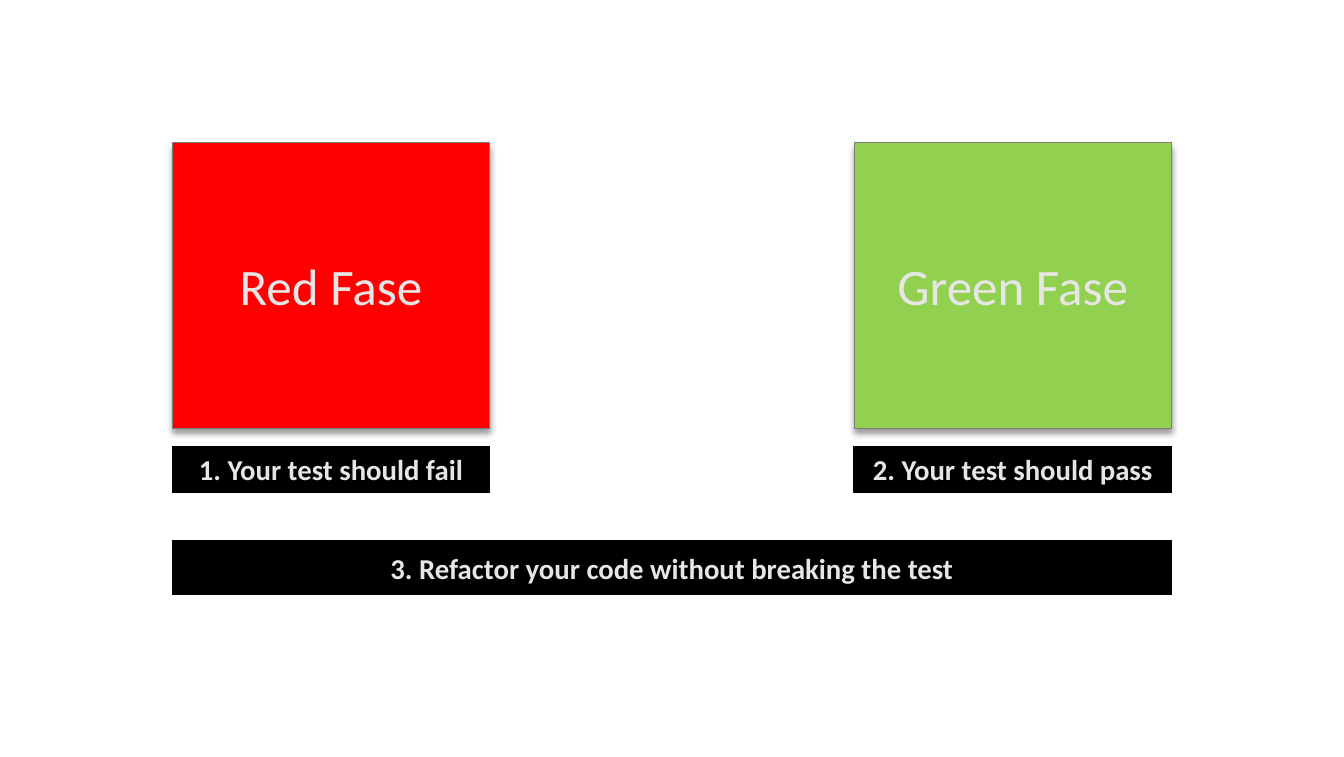
import pptx
import pptx.dml.color
import pptx.enum.shapes
import pptx.enum.text
import pptx.oxml
import pptx.oxml.ns
import pptx.util

WIDTH, HEIGHT = 11.69, 6.58
LEFT, RIGHT = 1.5, 10.19
PHASE_WIDTH = 2.76
PHASES = [
    ("Red Fase", "FF0000", "1. Your test should fail"),
    ("Green Fase", "92D050", "2. Your test should pass"),
]


def color(value):
    return pptx.dml.color.RGBColor.from_string(value)


def add_shadow(shape):
    """Cast a soft, 40 % black shadow straight down."""
    namespace = pptx.oxml.ns.nsdecls("a")
    shadow = pptx.oxml.parse_xml(
        f'<a:outerShdw {namespace} blurRad="{pptx.util.Pt(4)}" '
        f'dist="{pptx.util.Pt(3)}" dir="5400000" rotWithShape="0">'
        '<a:srgbClr val="000000"><a:alpha val="40000"/></a:srgbClr></a:outerShdw>'
    )
    effects = shape._element.spPr.find(pptx.oxml.ns.qn("a:effectLst"))
    effects.append(shadow)


def write(shape, text, size, bold=False, grow=False):
    frame = shape.text_frame
    frame.word_wrap = True
    frame.vertical_anchor = pptx.enum.text.MSO_ANCHOR.MIDDLE
    if grow:
        frame.vertical_anchor = pptx.enum.text.MSO_ANCHOR.TOP
        frame.auto_size = pptx.enum.text.MSO_AUTO_SIZE.SHAPE_TO_FIT_TEXT
    para = frame.paragraphs[0]
    para.alignment = pptx.enum.text.PP_ALIGN.CENTER
    span = para.add_run()
    span.text = text
    span.font.name = "Calibri"
    span.font.size = pptx.util.Pt(size)
    span.font.bold = bold
    span.font.color.rgb = color("E7E6E6")


def add_box(page, left, top, width, height, fill="000000", line="000000", weight=0.5):
    box = page.shapes.add_shape(
        pptx.enum.shapes.MSO_SHAPE.RECTANGLE,
        *map(pptx.util.Inches, (left, top, width, height)),
    )
    box.shadow.inherit = False
    box.fill.solid()
    box.fill.fore_color.rgb = color(fill)
    box.line.color.rgb = color(line)
    box.line.width = pptx.util.Pt(weight)
    return box


def add_phase(page, left, name, fill, rule):
    square = add_box(page, left, 1.24, PHASE_WIDTH, 2.48, fill=fill, line="7C7C7C")
    add_shadow(square)
    write(square, name, size=32)
    caption = add_box(page, left, 3.88, PHASE_WIDTH, 0.4, weight=1)
    write(caption, rule, size=18, bold=True, grow=True)


def main():
    deck = pptx.Presentation()
    deck.slide_width = pptx.util.Inches(WIDTH)
    deck.slide_height = pptx.util.Inches(HEIGHT)
    page = deck.slides.add_slide(deck.slide_layouts[6])
    for left, phase in zip((LEFT, RIGHT - PHASE_WIDTH), PHASES):
        add_phase(page, left, *phase)
    refactor = add_box(page, LEFT, 4.7, RIGHT - LEFT, 0.47)
    write(refactor, "3. Refactor your code without breaking the test", size=18, bold=True)
    deck.save("out.pptx")


if __name__ == "__main__":
    main()
